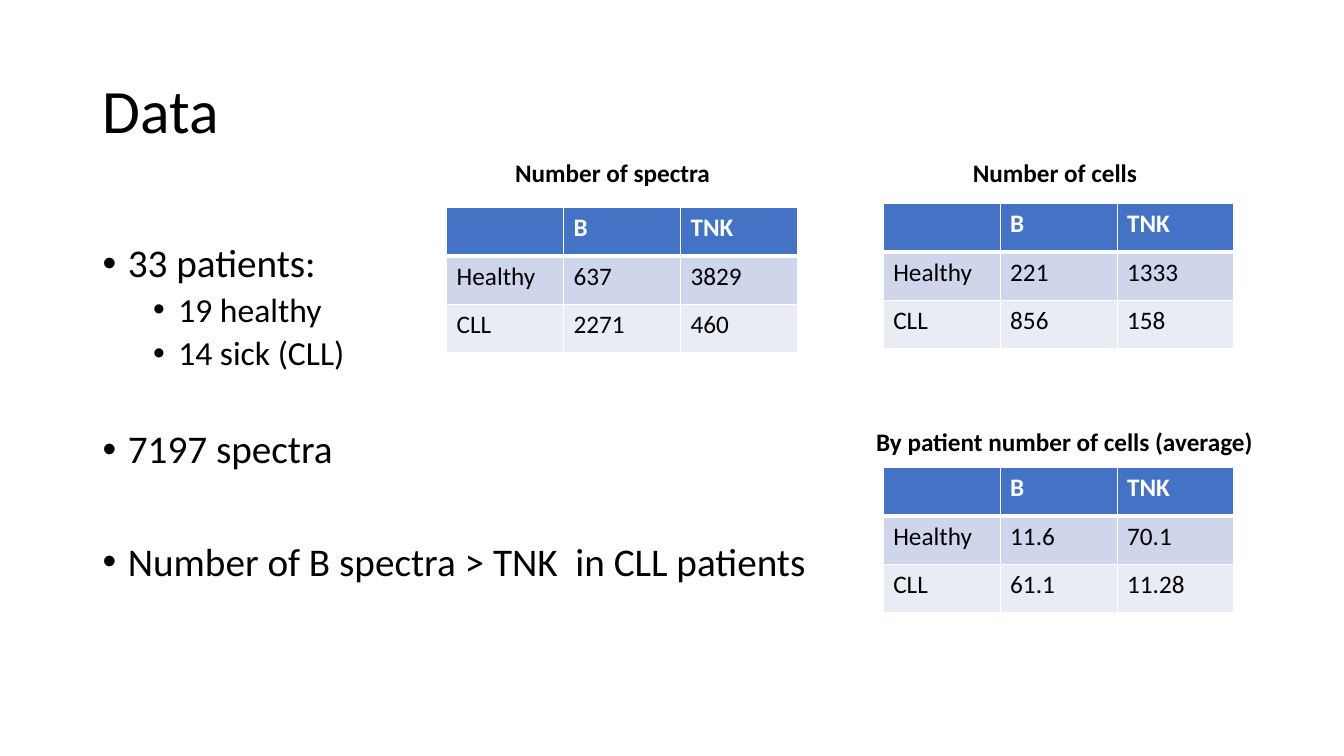
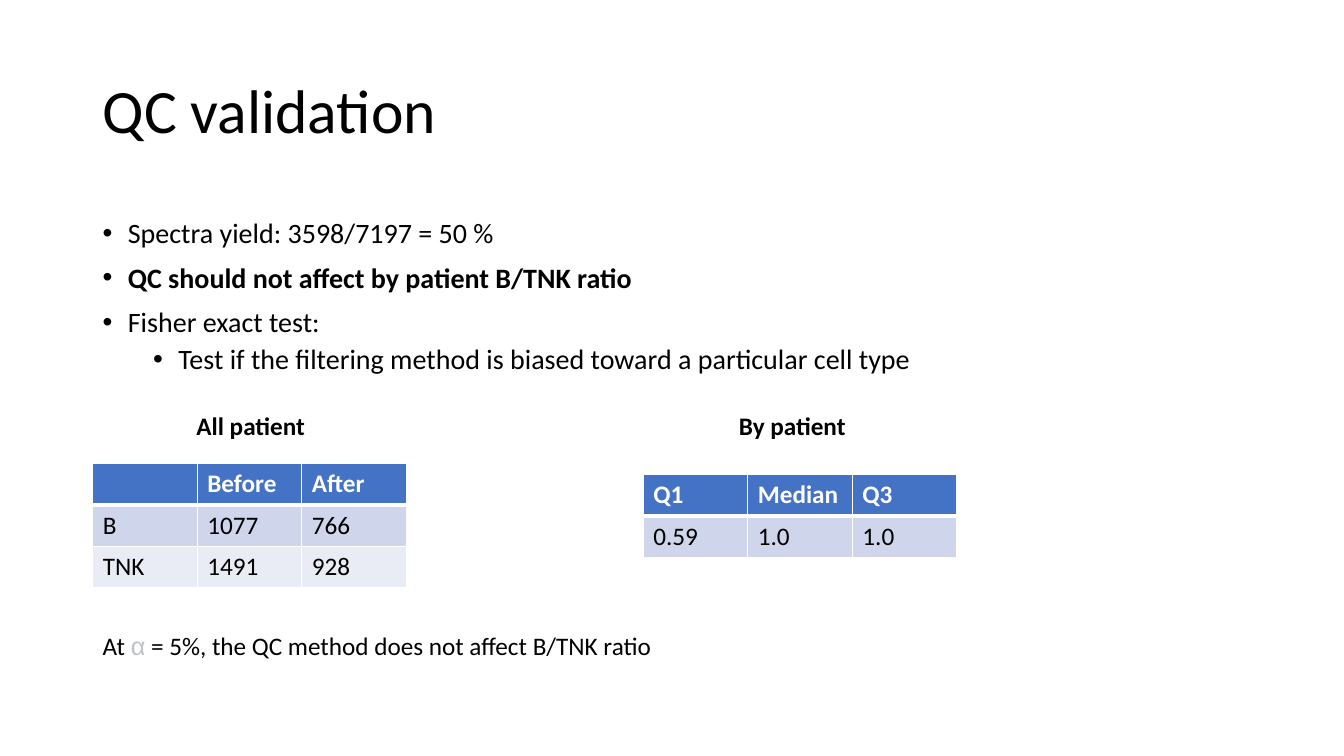
"""Builds two slides on the data set and its quality-control validation."""
from dataclasses import dataclass

from lxml import etree
from pptx import Presentation
from pptx import util as u
from pptx.dml.color import RGBColor
from pptx.enum import text
from pptx.oxml import ns


@dataclass(frozen=True)
class Theme:
    """Holds the colours, fonts and type sizes of the deck."""
    font: str = "Calibri"
    symbol_font: str = "Arial"
    ink: str = "000000"
    paper: str = "FFFFFF"
    header: str = "4472C4"
    bands: tuple = ("CFD5EA", "E9EBF5")
    faded: str = "BDC1C6"
    title_size: int = 44
    table_size: int = 18
    thin: int = 1
    thick: int = 3


THEME = Theme()
TITLE_BOX = (0.92, 0.4, 11.5, 1.45)


def add_run(paragraph, words, size, bold=False, color=THEME.ink, font=THEME.font):
    """Add one formatted run to a paragraph."""
    run = paragraph.add_run()
    run.text = words
    run.font.size = u.Pt(size)
    run.font.bold = bold
    run.font.name = font
    run.font.color.rgb = RGBColor.from_string(color)


def add_frame(slide, box, anchor=text.MSO_ANCHOR.TOP):
    """Add a wrapping text box and return its text frame."""
    frame = slide.shapes.add_textbox(*map(u.Inches, box)).text_frame
    frame.word_wrap = True
    frame.vertical_anchor = anchor
    return frame


def add_title(slide, words):
    """Add the slide title in its shared place."""
    paragraph = add_frame(slide, TITLE_BOX, text.MSO_ANCHOR.MIDDLE).paragraphs[0]
    paragraph.line_spacing = 0.9
    add_run(paragraph, words, THEME.title_size)


def add_caption(slide, box, words):
    """Add a bold table caption."""
    add_run(add_frame(slide, box).paragraphs[0], words, THEME.table_size, bold=True)


def add_bullets(slide, box, items):
    """Add bullets given as (level, space before, size, bold, words)."""
    frame = add_frame(slide, box)
    for index, (level, space, size, bold, words) in enumerate(items):
        paragraph = frame.add_paragraph() if index else frame.paragraphs[0]
        paragraph.level = level
        paragraph.line_spacing = 0.9
        paragraph.space_before = u.Pt(space)
        properties = paragraph._p.get_or_add_pPr()
        properties.set("marL", str(u.Inches(0.25 + 0.5 * level)))
        properties.set("indent", str(u.Inches(-0.25)))
        etree.SubElement(properties, ns.qn("a:buFont"), typeface=THEME.symbol_font)
        etree.SubElement(properties, ns.qn("a:buChar"), char="•")
        add_run(paragraph, words, size, bold)


def set_borders(cell, widths):
    """Draw the cell borders, with widths in points keyed by side."""
    properties = cell._tc.get_or_add_tcPr()
    for side, width in widths.items():
        line = etree.SubElement(properties, ns.qn(f"a:ln{side}"), w=str(u.Pt(width)))
        fill = etree.SubElement(line, ns.qn("a:solidFill"))
        etree.SubElement(fill, ns.qn("a:srgbClr"), val=THEME.paper)


def add_table(slide, box, rows):
    """Add a table with a header row and banded body rows."""
    left, top, width, row_height = box
    columns = len(rows[0])
    frame = slide.shapes.add_table(
        len(rows), columns,
        *map(u.Inches, (left, top, width, row_height * len(rows))))
    table = frame.table
    for column in table.columns:
        column.width = u.Inches(width / columns)
    for row_index, row in enumerate(rows):
        is_header = row_index == 0
        band = THEME.header if is_header else THEME.bands[(row_index - 1) % 2]
        widths = {"L": THEME.thin, "R": THEME.thin,
                  "T": THEME.thick if row_index == 1 else THEME.thin,
                  "B": THEME.thick if is_header else THEME.thin}
        for column_index, words in enumerate(row):
            cell = table.cell(row_index, column_index)
            set_borders(cell, widths)
            cell.fill.solid()
            cell.fill.fore_color.rgb = RGBColor.from_string(band)
            if words:
                add_run(cell.text_frame.paragraphs[0], words, THEME.table_size,
                        is_header, THEME.paper if is_header else THEME.ink)


def add_cell_counts(slide, box, healthy, sick):
    """Add a table of B and TNK counts by patient group."""
    add_table(slide, box,
              [("", "B", "TNK"), ("Healthy", *healthy), ("CLL", *sick)])


def build_data(slide):
    """Build the slide that describes the data set."""
    add_title(slide, "Data")
    add_bullets(slide, (0.92, 2.37, 11.5, 4.19), [
        (0, 0, 28, False, "33 patients:"),
        (1, 5, 24, False, "19 healthy"),
        (1, 5, 24, False, "14 sick (CLL)"),
        (0, 41, 28, False, "7197 spectra"),
        (0, 50, 28, False, "Number of B spectra > TNK  in CLL patients"),
    ])
    add_cell_counts(slide, (4.43, 2.06, 3.48, 0.48), ("637", "3829"), ("2271", "460"))
    add_cell_counts(slide, (8.76, 2.02, 3.48, 0.48), ("221", "1333"), ("856", "158"))
    add_cell_counts(slide, (8.76, 4.64, 3.48, 0.48), ("11.6", "70.1"), ("61.1", "11.28"))
    add_caption(slide, (5.01, 1.51, 3.36, 0.4), "Number of spectra")
    add_caption(slide, (9.55, 1.51, 3.36, 0.4), "Number of cells")
    add_caption(slide, (8.59, 4.18, 4.61, 0.4), "By patient number of cells (average)")


def add_conclusion(slide, box):
    """Add the closing sentence with its faded alpha."""
    paragraph = add_frame(slide, box).paragraphs[0]
    add_run(paragraph, "At ", THEME.table_size)
    add_run(paragraph, "α", THEME.table_size, color=THEME.faded, font=THEME.symbol_font)
    add_run(paragraph, " = 5%, the QC method does not affect B/TNK ratio", THEME.table_size)


def build_validation(slide):
    """Build the slide on quality-control validation."""
    add_title(slide, "QC validation")
    add_bullets(slide, (0.92, 2.13, 11.5, 1.8), [
        (0, 0, 20, False, "Spectra yield: 3598/7197 = 50 %"),
        (0, 10, 20, True, "QC should not affect by patient B/TNK ratio"),
        (0, 10, 20, False, "Fisher exact test:"),
        (1, 5, 20, False,
         "Test if the filtering method is biased toward a particular cell type"),
    ])
    add_table(slide, (0.92, 4.6, 3.11, 0.41),
              [("", "Before", "After"), ("B", "1077", "766"), ("TNK", "1491", "928")])
    add_table(slide, (6.38, 4.71, 3.11, 0.41),
              [("Q1", "Median", "Q3"), ("0.59", "1.0", "1.0")])
    add_caption(slide, (1.85, 4.02, 2.48, 0.4), "All patient")
    add_caption(slide, (7.23, 4.02, 2.48, 0.4), "By patient")
    add_conclusion(slide, (0.92, 6.2, 5.75, 0.4))


def main():
    """Build and save the presentation."""
    presentation = Presentation()
    presentation.slide_width = u.Inches(13.33)
    presentation.slide_height = u.Inches(7.5)
    blank = presentation.slide_layouts[6]
    for build in (build_data, build_validation):
        build(presentation.slides.add_slide(blank))
    presentation.save("out.pptx")


if __name__ == "__main__":
    main()
